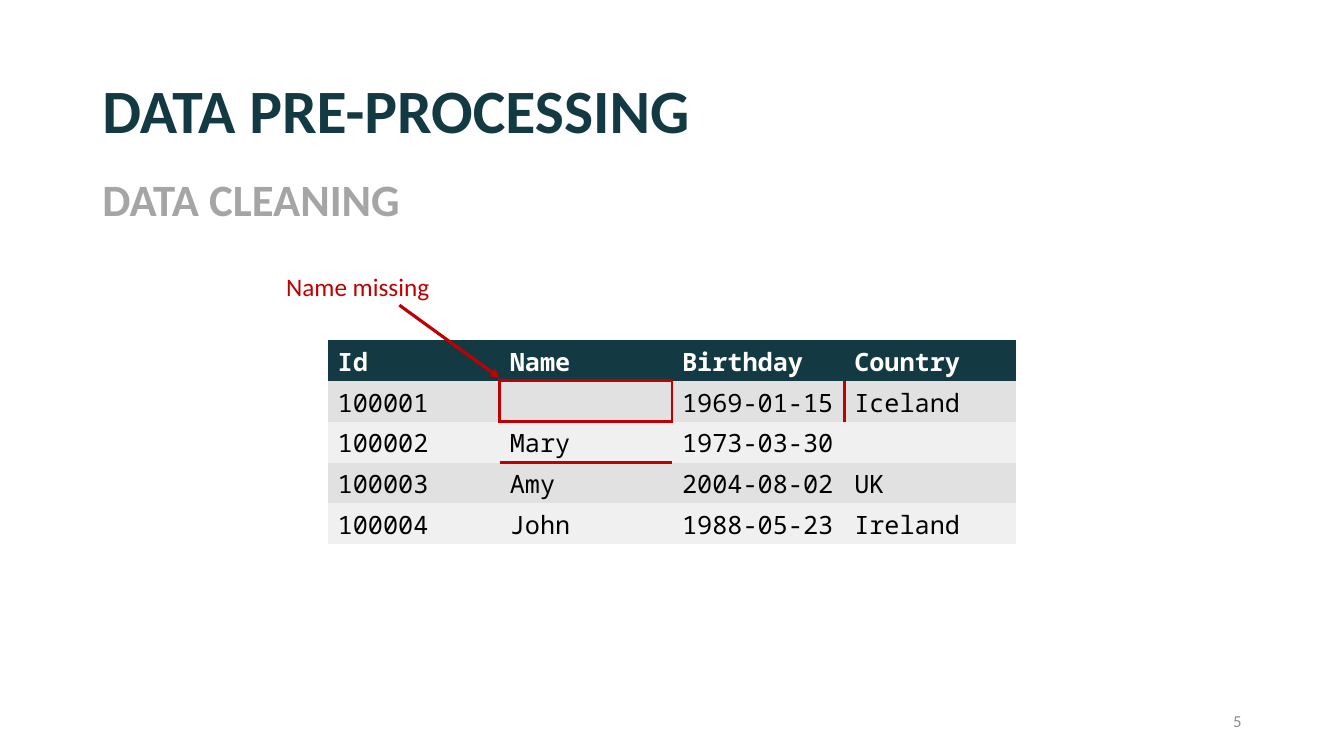
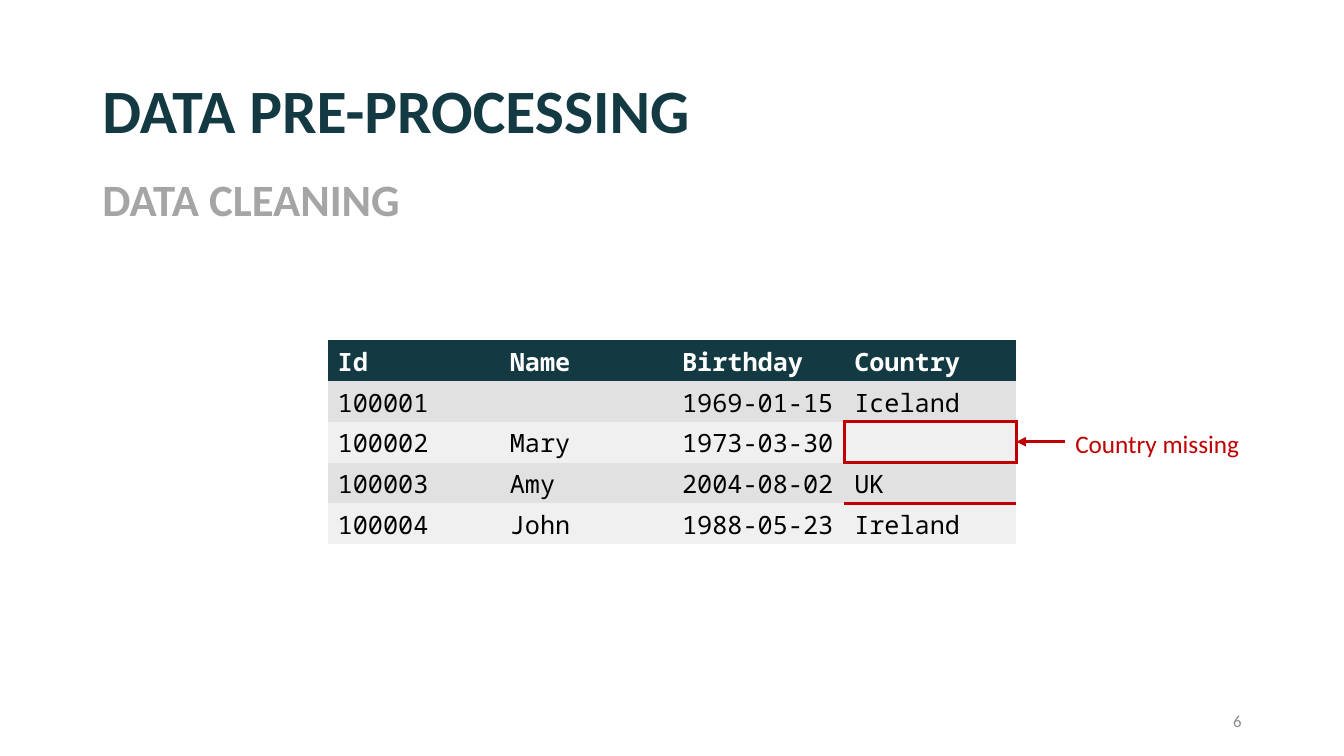
from lxml import etree
from pptx import Presentation
from pptx.dml.color import RGBColor
from pptx.enum.shapes import MSO_CONNECTOR
from pptx.enum.text import MSO_ANCHOR, MSO_AUTO_SIZE, PP_ALIGN
from pptx.oxml.ns import qn
from pptx.util import Pt

LEFT, RIGHT = PP_ALIGN.LEFT, PP_ALIGN.RIGHT
TOP, MIDDLE = MSO_ANCHOR.TOP, MSO_ANCHOR.MIDDLE
STRAIGHT = MSO_CONNECTOR.STRAIGHT
NO_AUTOSIZE = MSO_AUTO_SIZE.NONE

TITLE_ONLY = 5
NO_TABLE_STYLE = "{2D5ABB26-0587-4C30-8999-92F81FD0307C}"

NAVY, RED, WHITE, BLACK = "133942", "C00000", "FFFFFF", "000000"
BAND_COLORS = ("F0F0F0", "E1E1E1")
LINE_WIDTH = 2.25

TITLE_FONT = {"name": "Calibri", "size": Pt(44), "bold": True, "color": NAVY}
SUBTITLE_FONT = {"name": "Calibri", "size": Pt(32), "bold": True, "color": "A5A5A5"}
NUMBER_FONT = {"name": "Calibri", "size": Pt(12), "color": "8C8C8C"}
CALLOUT_FONT = {"name": "Calibri", "size": Pt(18), "color": RED}
HEADER_FONT = {"name": "Noto Sans Mono", "size": Pt(18), "bold": True, "color": WHITE}
BODY_FONT = HEADER_FONT | {"bold": False, "color": BLACK}

TABLE_LEFT, TABLE_TOP = 234, 242.8
COLUMN_WIDTH, ROW_HEIGHT = 123, 29.2
PEOPLE = [
    ("Id", "Name", "Birthday", "Country"),
    ("100001", "", "1969-01-15", "Iceland"),
    ("100002", "Mary", "1973-03-30", ""),
    ("100003", "Amy", "2004-08-02", "UK"),
    ("100004", "John", "1988-05-23", "Ireland"),
]

# Side of the marked cell: step to the neighbour and the side it shares
NEIGHBOURS = {"L": (0, -1, "R"), "R": (0, 1, "L"), "T": (-1, 0, "B"), "B": (1, 0, "T")}

SLIDES = [
    {
        "number": 5,
        "marked": (1, 1),
        "extra_edges": {(1, 2): "R", (2, 1): "B"},
        "callout": "Name missing",
        "callout_box": (197.3, 190, 121, 29),
        "arrow": (285.3, 218, 357, 270),
    },
    {
        "number": 6,
        "marked": (2, 3),
        "extra_edges": {},
        "callout": "Country missing",
        "callout_box": (761, 302.4, 137, 29),
        "arrow": (761, 315.5, 726, 315.5),
    },
]


def rgb(color):
    return RGBColor.from_string(color)


def format_font(font, values):
    for name, value in values.items():
        if name == "color":
            font.color.rgb = rgb(value)
        else:
            setattr(font, name, value)


def write_text(text_frame, text, font, align=LEFT):
    paragraph = text_frame.paragraphs[0]
    paragraph.alignment = align
    run = paragraph.add_run()
    run.text = text
    format_font(run.font, font)
    return paragraph


def add_title(slide, text):
    title = slide.shapes.title
    box = {"left": 66, "top": 28.8, "width": 828, "height": 104.4}
    for name, value in box.items():
        setattr(title, name, Pt(value))
    title.text_frame.auto_size = NO_AUTOSIZE
    title.text_frame.vertical_anchor = MIDDLE
    write_text(title.text_frame, text, TITLE_FONT).line_spacing = 0.9


def add_text(slide, box, text, font, align=LEFT, anchor=TOP):
    text_frame = slide.shapes.add_textbox(*map(Pt, box)).text_frame
    text_frame.word_wrap = True
    text_frame.vertical_anchor = anchor
    write_text(text_frame, text, font, align)


def add_arrow(slide, points):
    arrow = slide.shapes.add_connector(STRAIGHT, *map(Pt, points))
    arrow.line.color.rgb = rgb(RED)
    arrow.line.width = Pt(LINE_WIDTH)
    properties = arrow.element.spPr
    line = properties.find(qn("a:ln"))
    etree.SubElement(line, qn("a:tailEnd"), type="triangle")
    etree.SubElement(properties, qn("a:effectLst"))


def marked_edges(marked, extra_edges):
    """Map each cell to its red sides, including sides shared with the marked cell."""
    edges = {marked: "LRTB"}
    for row_step, column_step, side in NEIGHBOURS.values():
        neighbour = (marked[0] + row_step, marked[1] + column_step)
        edges[neighbour] = side + extra_edges.get(neighbour, "")
    return edges


def add_borders(cell, sides):
    """Insert border lines ahead of the cell fill, in schema order."""
    properties = cell._tc.get_or_add_tcPr()
    for side in "LRTB":
        if side in sides:
            border = etree.Element(qn(f"a:ln{side}"), w=str(Pt(LINE_WIDTH)))
            fill = etree.SubElement(border, qn("a:solidFill"))
            etree.SubElement(fill, qn("a:srgbClr"), val=RED)
            properties.insert(len(properties) - 1, border)


def add_people_table(slide, edges):
    row_count, column_count = len(PEOPLE), len(PEOPLE[0])
    box = (TABLE_LEFT, TABLE_TOP, column_count * COLUMN_WIDTH, row_count * ROW_HEIGHT)
    frame = slide.shapes.add_table(row_count, column_count, *map(Pt, box))
    table = frame.table
    table.horz_banding = False
    next(frame.element.iter(qn("a:tableStyleId"))).text = NO_TABLE_STYLE
    for column in table.columns:
        column.width = Pt(COLUMN_WIDTH)
    for row_index, person in enumerate(PEOPLE):
        table.rows[row_index].height = Pt(ROW_HEIGHT)
        is_header = row_index == 0
        for column_index, text in enumerate(person):
            cell = table.cell(row_index, column_index)
            cell.margin_top, cell.margin_bottom = Pt(3.2), Pt(0)
            cell.fill.solid()
            cell.fill.fore_color.rgb = rgb(NAVY if is_header else BAND_COLORS[row_index % 2])
            if text:
                write_text(cell.text_frame, text, HEADER_FONT if is_header else BODY_FONT)
            add_borders(cell, edges.get((row_index, column_index), ""))


def add_cleaning_slide(presentation, content):
    slide = presentation.slides.add_slide(presentation.slide_layouts[TITLE_ONLY])
    add_title(slide, "DATA PRE-PROCESSING")
    add_text(slide, (66, 118.8, 414, 46), "DATA CLEANING", SUBTITLE_FONT)
    add_text(slide, (678, 500.5, 216, 28.8), str(content["number"]), NUMBER_FONT, RIGHT, MIDDLE)
    add_people_table(slide, marked_edges(content["marked"], content["extra_edges"]))
    add_arrow(slide, content["arrow"])
    add_text(slide, content["callout_box"], content["callout"], CALLOUT_FONT)


def main():
    presentation = Presentation()
    presentation.slide_width, presentation.slide_height = Pt(960), Pt(540)
    for content in SLIDES:
        add_cleaning_slide(presentation, content)
    presentation.save("out.pptx")


if __name__ == "__main__":
    main()
